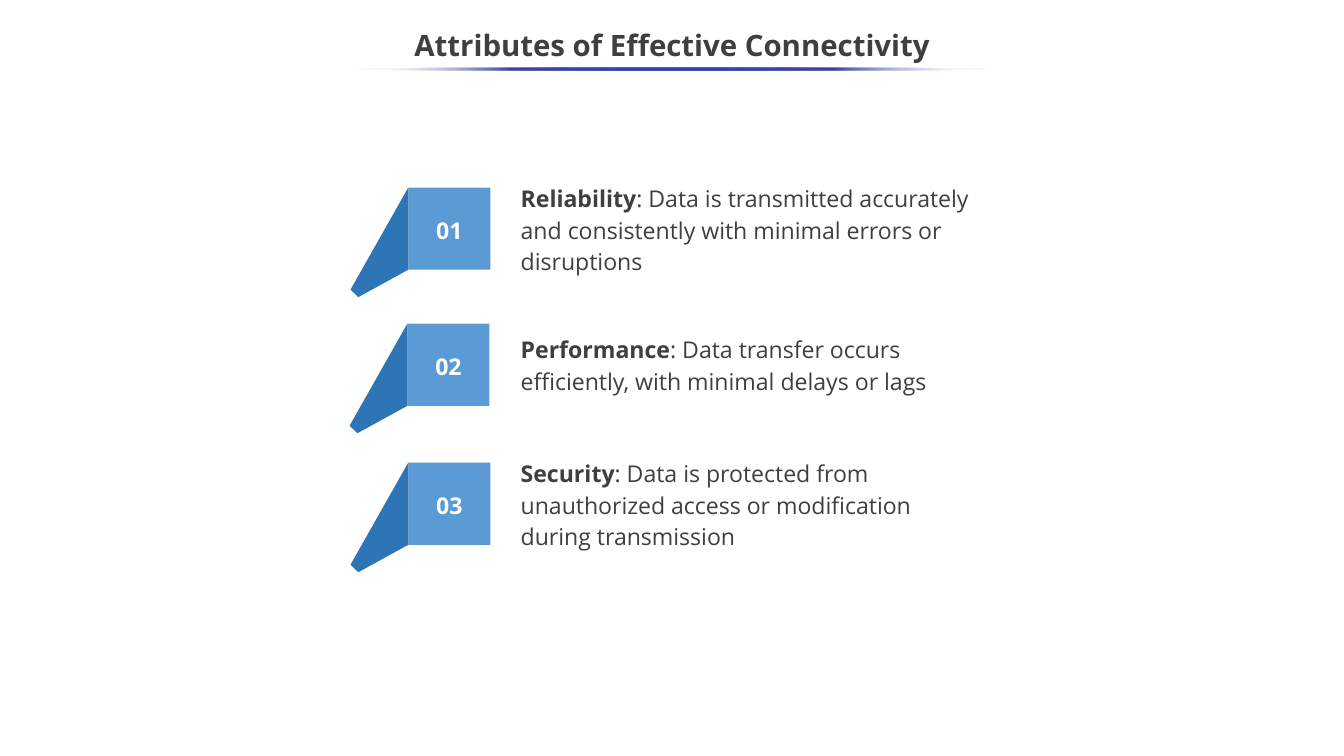
import pptx
import pptx.util
import pptx.dml.color
import pptx.enum.shapes
import pptx.enum.text
import lxml.etree
from dataclasses import dataclass

Pt = pptx.util.Pt
Shape = pptx.enum.shapes.MSO_SHAPE
Align = pptx.enum.text.PP_ALIGN
Anchor = pptx.enum.text.MSO_ANCHOR


@dataclass
class Theme:
    font: str = "Open Sans"
    ink: str = "3F3F3F"
    white: str = "FFFFFF"
    face: str = "5B9BD5"
    fold: str = "2E75B5"
    rule: str = "3645A9"
    head: int = 28
    body: int = 22


def color(code):
    return pptx.dml.color.RGBColor.from_string(code)


def write(frame, runs, font, size, ink, align=Align.LEFT, anchor=Anchor.TOP, gap=1.14):
    frame.word_wrap = True
    frame.vertical_anchor = anchor
    para = frame.paragraphs[0]
    para.alignment = align
    para.line_spacing = gap
    for text, bold in runs:
        run = para.add_run()
        run.text = text
        run.font.name = font
        run.font.size = Pt(size)
        run.font.bold = bold
        run.font.color.rgb = color(ink)


class Deck:
    def __init__(self, slide, theme):
        self.slide = slide
        self.theme = theme

    def paint(self, shape, fill):
        shape.shadow.inherit = False
        shape.fill.solid()
        shape.fill.fore_color.rgb = color(fill)
        shape.line.fill.background()

    def text(self, left, top, width, height, runs, size, **form):
        box = self.slide.shapes.add_textbox(Pt(left), Pt(top), Pt(width), Pt(height))
        write(box.text_frame, runs, self.theme.font, size, self.theme.ink, **form)

    def tile(self, left, top, side, label):
        box = self.slide.shapes.add_shape(
            Shape.RECTANGLE, Pt(left), Pt(top), Pt(side), Pt(side))
        self.paint(box, self.theme.face)
        write(box.text_frame, [(label, True)], self.theme.font, self.theme.body,
              self.theme.white, align=Align.CENTER, anchor=Anchor.MIDDLE)

    def fold(self, left, top, side):
        steps = [(-55, 97.2), (-47.6, 104.4), (0, side)]
        pen = self.slide.shapes.build_freeform(Pt(left), Pt(top))
        pen.add_line_segments([(Pt(left + x), Pt(top + y)) for x, y in steps], close=True)
        self.paint(pen.convert_to_shape(), self.theme.fold)

    def rule(self, left, top, width, height):
        bar = self.slide.shapes.add_shape(
            Shape.OVAL, Pt(left), Pt(top), Pt(width), Pt(height))
        self.paint(bar, self.theme.rule)
        bar.fill.gradient()
        bar.fill.gradient_angle = 180
        stops = bar.fill._fill._gradFill.gsLst
        for stop in list(stops):
            stops.remove(stop)
        tag = "{http://schemas.openxmlformats.org/drawingml/2006/main}"
        for place in (0, 25, 50, 75, 100):
            edge = place in (0, 100)
            stop = lxml.etree.SubElement(stops, tag + "gs", pos=str(place * 1000))
            tint = lxml.etree.SubElement(
                stop, tag + "srgbClr", val=self.theme.white if edge else self.theme.rule)
            if edge:
                lxml.etree.SubElement(tint, tag + "alpha", val="0")


def main():
    show = pptx.Presentation()
    show.slide_width = Pt(1280.16)
    show.slide_height = Pt(720)
    theme = Theme()
    deck = Deck(show.slides.add_slide(show.slide_layouts[6]), theme)

    deck.text(0, 18, 1280.16, 54, [("Attributes of Effective Connectivity", True)],
              theme.head, align=Align.CENTER, anchor=Anchor.MIDDLE, gap=0.9)
    deck.rule(334, 64.2, 613.4, 3)

    side = 78.3
    items = [
        (388.9, 178.6, 168.5, 98.6, "Reliability",
         "Data is transmitted accurately and consistently with minimal errors or disruptions"),
        (388, 308.2, 312.5, 68.4, "Performance",
         "Data transfer occurs efficiently, with minimal delays or lags"),
        (388.9, 440.6, 430.6, 98.6, "Security",
         "Data is protected from unauthorized access or modification during transmission"),
    ]
    for rank, (left, top, line, height, name, note) in enumerate(items, 1):
        deck.tile(left, top, side, f"{rank:02}")
        deck.fold(left, top, side)
        deck.text(488.9, line, 458.6, height, [(name, True), (": " + note, False)], theme.body)

    show.save("out.pptx")


if __name__ == "__main__":
    main()
